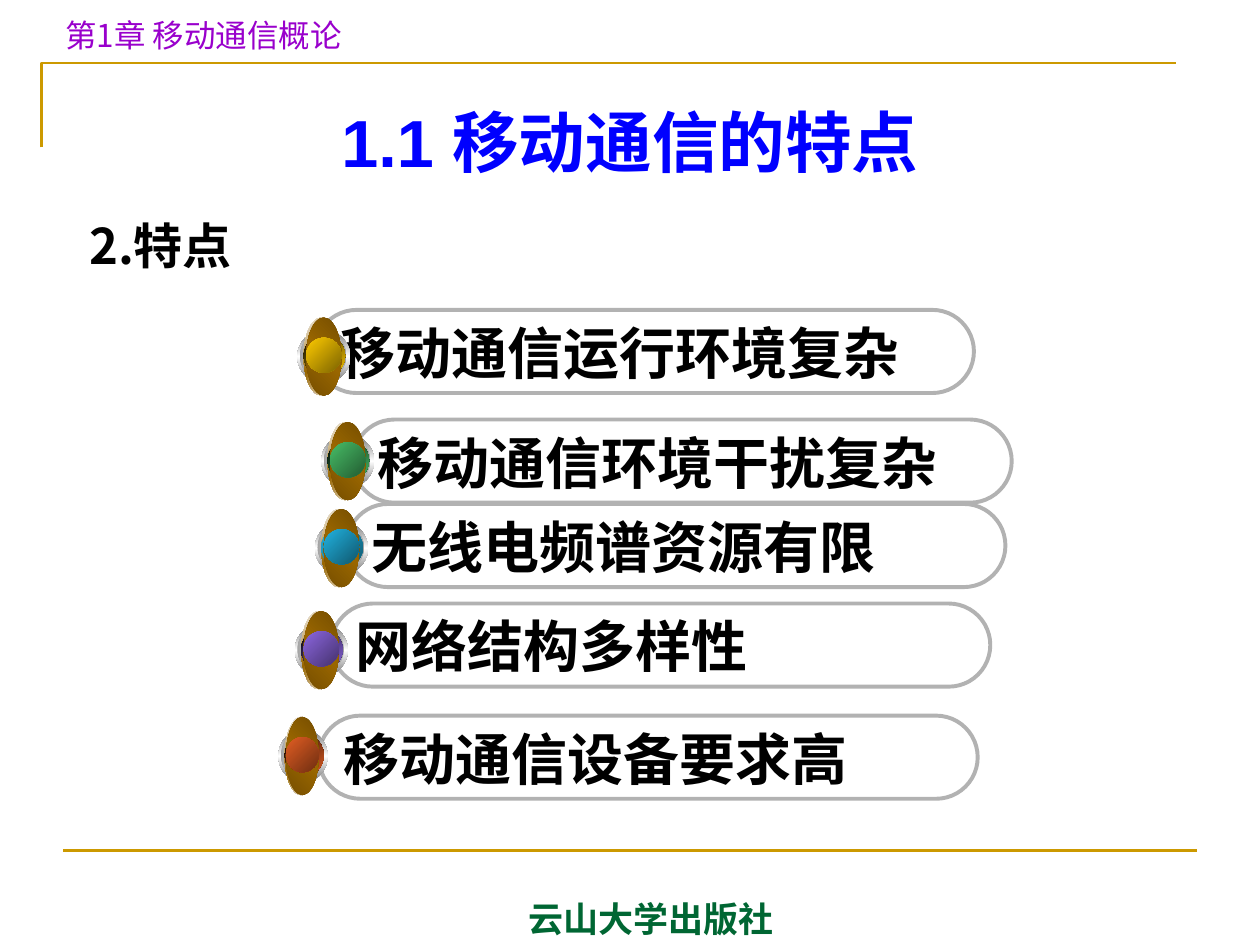
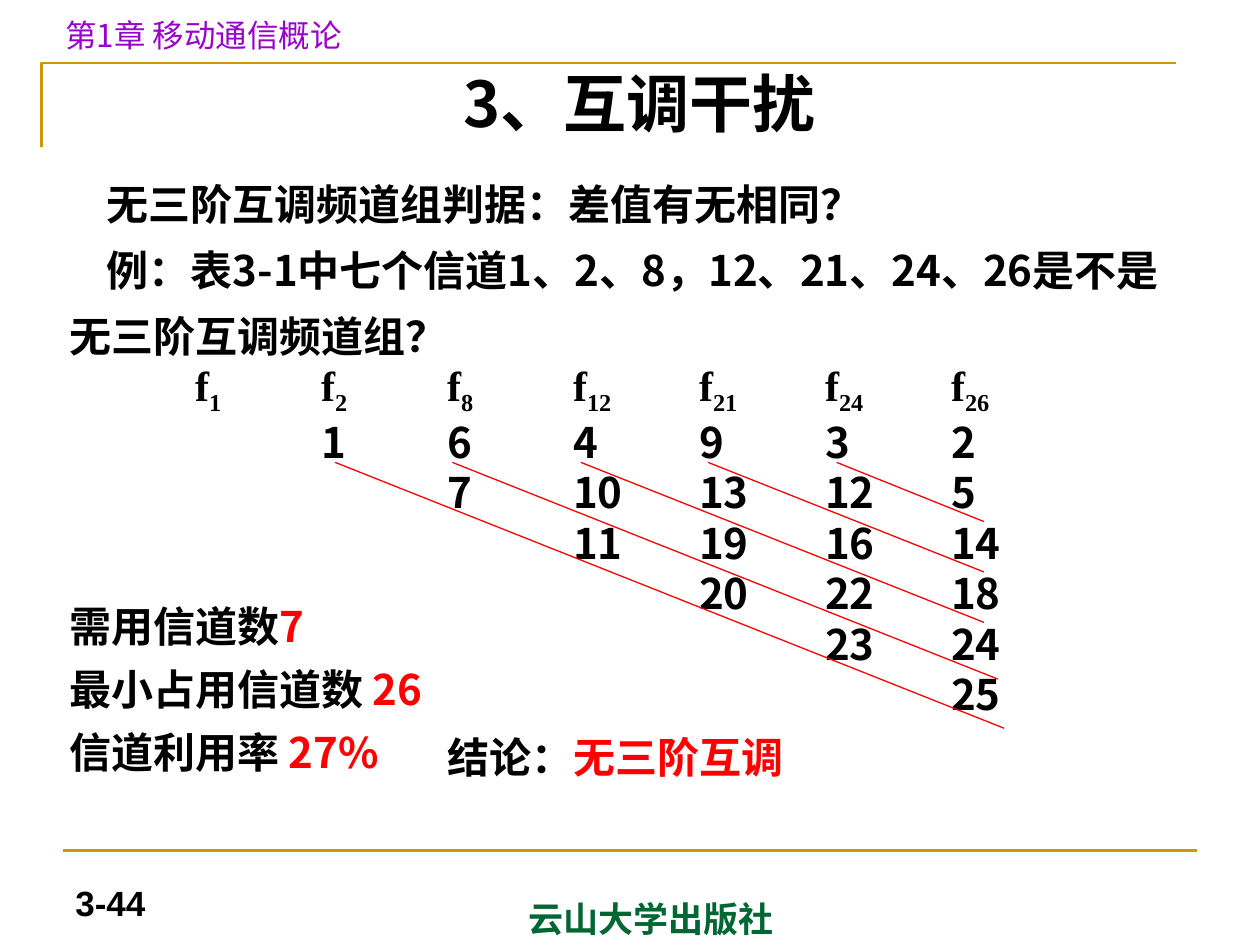
import pptx
import pptx.dml.color
import pptx.enum.shapes
import pptx.enum.text
import pptx.oxml
import pptx.oxml.ns
import pptx.util

RGB = pptx.dml.color.RGBColor
SHAPE = pptx.enum.shapes.MSO_SHAPE
ALIGN = pptx.enum.text.PP_ALIGN
ANCHOR = pptx.enum.text.MSO_ANCHOR
qn = pptx.oxml.ns.qn
NS = pptx.oxml.ns.nsdecls("a")

PX = 9144  # 100 px to the inch

# Colours
BLACK = RGB(0x00, 0x00, 0x00)
WHITE = RGB(0xFF, 0xFF, 0xFF)
GOLD = RGB(0xCC, 0x99, 0x00)
GREEN = RGB(0x00, 0x66, 0x33)
PURPLE = RGB(0x99, 0x00, 0xCC)
BLUE = RGB(0x00, 0x00, 0xFF)
RED = RGB(0xFF, 0x00, 0x00)
PILL_GREY = RGB(0xB2, 0xB2, 0xB2)
RIM_GREY = RGB(0x76, 0x76, 0x76)
RING_GREY = RGB(0xA2, 0xA2, 0xA2)
BROWN = RGB(0x99, 0x66, 0x00)
DARK_BROWN = RGB(0x75, 0x4E, 0x00)
YELLOW_BEAD = (RGB(0xFF, 0xCC, 0x00), RGB(0x7C, 0x63, 0x00))
GREEN_BEAD = (RGB(0x48, 0xBE, 0x67), RGB(0x23, 0x5C, 0x32))
BLUE_BEAD = (RGB(0x21, 0xB3, 0xE1), RGB(0x10, 0x57, 0x6D))
VIOLET_BEAD = (RGB(0x8D, 0x67, 0xE1), RGB(0x45, 0x32, 0x6D))
ORANGE_BEAD = (RGB(0xE3, 0x5E, 0x23), RGB(0x6E, 0x2E, 0x11))

# Fonts
CJK = "Noto Sans CJK SC"
CJK_CHAPTER = "Noto Sans CJK JP"
SANS = "Arial"
SERIF = "Times New Roman"

CHAPTER = "第1章 移动通信概论"
PUBLISHER = "云山大学出版社"

# Pill left and top, bead left, top and width, text, bead colours
FEATURES = [
    (250, 246, 236, 262, 42, "移动通信运行环境复杂", YELLOW_BEAD),
    (280, 333, 255, 345, 42, "移动通信环境干扰复杂", GREEN_BEAD),
    (275, 400, 250, 414, 42, "无线电频谱资源有限", BLUE_BEAD),
    (263, 479, 234, 495, 42, "网络结构多样性", VIOLET_BEAD),
    (253, 568, 221, 579, 39, "移动通信设备要求高", ORANGE_BEAD),
]

CHANNELS = [1, 2, 8, 12, 21, 24, 26]
COLUMN_STEP = 100
DIFFERENCES = [
    [1, 6, 4, 9, 3, 2],
    [7, 10, 13, 12, 5],
    [11, 19, 16, 14],
    [20, 22, 18],
    [23, 24],
    [25],
]
DIAGONAL_TOP = 367
DIAGONALS = [(266, 797, 578), (359, 792, 539), (461, 781, 494),
             (562, 781, 454), (664, 781, 414)]  # start x, end x, end y


def px(*lengths):
    return [pptx.util.Emu(n * PX) for n in lengths]


def add_run(p, text, size, color=BLACK, font=CJK, ea=CJK, bold=True, base=0):
    r = p.add_run()
    r.text = text
    r.font.size = pptx.util.Pt(size)
    r.font.bold = bold
    r.font.color.rgb = color
    r.font.name = font
    rPr = r.font._element
    rPr.find(qn("a:latin")).addnext(
        pptx.oxml.parse_xml(f'<a:ea {NS} typeface="{ea}"/>'))
    if base:
        rPr.set("baseline", str(base * 1000))


def add_line(tf, runs, leading, align=ALIGN.LEFT, indent=0):
    """Add one paragraph; runs are (text, style) pairs, leading is in points."""
    first = tf.paragraphs[0]
    p = tf.add_paragraph() if first.runs else first
    p.alignment = align
    p.line_spacing = pptx.util.Pt(leading)
    if indent:
        p._p.get_or_add_pPr().set("indent", str(indent * PX))
    for text, style in runs:
        add_run(p, text, **style)
    return p


def add_column_line(tf, runs, leading):
    """Add a paragraph with one tab stop for each channel column."""
    p = add_line(tf, runs, leading)
    stops = "".join(f'<a:tab pos="{(i + 1) * COLUMN_STEP * PX}" algn="l"/>'
                    for i in range(len(CHANNELS)))
    p._p.get_or_add_pPr().append(
        pptx.oxml.parse_xml(f"<a:tabLst {NS}>{stops}</a:tabLst>"))


def add_box(slide, box, anchor=ANCHOR.TOP):
    tf = slide.shapes.add_textbox(*px(*box)).text_frame
    tf.word_wrap = True
    tf.vertical_anchor = anchor
    return tf


def add_label(slide, box, text, size, anchor=ANCHOR.TOP, align=ALIGN.LEFT, **style):
    tf = add_box(slide, box, anchor)
    add_line(tf, [(text, dict(size=size, **style))], size * 1.2, align)


def add_rule(slide, x1, y1, x2, y2, color, width):
    line = slide.shapes.add_connector(
        pptx.enum.shapes.MSO_CONNECTOR.STRAIGHT, *px(x1, y1, x2, y2))
    line.line.color.rgb = color
    line.line.width = pptx.util.Pt(width)
    line._element.spPr.append(pptx.oxml.parse_xml(f"<a:effectLst {NS}/>"))


def add_frame(slide):
    """Corner line, chapter name, footer rule and publisher."""
    builder = slide.shapes.build_freeform(33, 117, scale=PX)
    builder.add_line_segments([(33, 50), (933, 50)], close=False)
    corner = builder.convert_to_shape()
    corner.shadow.inherit = False
    corner.fill.background()
    corner.line.color.rgb = GOLD
    corner.line.width = pptx.util.Pt(1.5)
    add_rule(slide, 50, 675, 950, 675, GOLD, 1.5)
    add_label(slide, (242, 707, 550, 43), PUBLISHER, 20,
              align=ALIGN.CENTER, color=GREEN, font=SANS)
    add_label(slide, (42, 8, 433, 40), CHAPTER, 18, color=PURPLE,
              font=CJK_CHAPTER, ea=CJK_CHAPTER, bold=False)


def set_gradient(sp, colors, angle):
    """Fill with evenly spaced colours; the angle runs clockwise."""
    sp.fill.gradient()
    grad = sp._element.spPr.find(qn("a:gradFill"))
    stops = grad.find(qn("a:gsLst"))
    for stop in list(stops):
        stops.remove(stop)
    for i, color in enumerate(colors):
        pos = 100000 * i // (len(colors) - 1)
        stops.append(pptx.oxml.parse_xml(
            f'<a:gs {NS} pos="{pos}"><a:srgbClr val="{color}"/></a:gs>'))
    grad.find(qn("a:lin")).set("ang", str(angle * 60000))


def add_bead(shapes, left, top, width, colors):
    """Stack of shaded ellipses, drawn for a width of 42 and squeezed to fit."""
    bright, dark = colors
    halo = (bright, dark) if colors is BLUE_BEAD else (BLACK, bright)
    layers = [
        (0, 0, 42, 42, (RIM_GREY, WHITE, RIM_GREY), 90),
        (2, 2, 37, 37, (RING_GREY, WHITE, RING_GREY), 0),
        (5, -10, 28, 62, (WHITE, BROWN, WHITE), 45),
        (5, 4, 33, 33, halo, 45),
        (7, -10, 28, 62, (DARK_BROWN, BROWN, DARK_BROWN), 315),
        (7, 6, 28, 28, (bright, dark), 45),
    ]
    for dx, dy, w, h, fill, angle in layers:
        sp = shapes.add_shape(SHAPE.OVAL, *px(
            left + round(dx * width / 42), top + dy, round(w * width / 42), h))
        sp.shadow.inherit = False
        sp.line.fill.background()
        set_gradient(sp, fill, angle)


def add_feature(slide, left, top, bead_left, bead_top, bead_width, text, colors):
    """Rounded pill with its bead."""
    shapes = slide.shapes.add_group_shape().shapes
    pill = shapes.add_shape(SHAPE.ROUNDED_RECTANGLE, *px(left, top, 523, 66))
    pill.adjustments[0] = 0.5
    pill.shadow.inherit = False
    pill.fill.background()
    pill.line.color.rgb = PILL_GREY
    pill.line.width = pptx.util.Pt(2.25)
    tf = pill.text_frame
    tf.word_wrap = True
    tf.vertical_anchor = ANCHOR.MIDDLE
    add_line(tf, [(text, dict(size=32, font=SANS))], 39)
    add_bead(shapes, bead_left, bead_top, bead_width, colors)


def build_features(slide):
    add_frame(slide)
    add_label(slide, (50, 70, 900, 83), "1.1 移动通信的特点", 38, ANCHOR.MIDDLE,
              ALIGN.CENTER, color=BLUE, font=SANS)
    add_label(slide, (61, 166, 900, 490), "2.特点", 28)
    for feature in FEATURES:
        add_feature(slide, *feature)


def add_difference_text(slide, box):
    """Question, triangle of channel differences on tab stops, conclusion."""
    plain = dict(size=24)
    tf = add_box(slide, box)
    for text in ("无三阶互调频道组判据：差值有无相同？",
                 "例：表3-1中七个信道1、2、8，12、21、24、26是不是无三阶互调频道组？"):
        add_line(tf, [(text, plain)], 37.5, indent=30)

    serif = dict(size=24, font=SERIF)
    heads = []
    for channel in CHANNELS:
        heads += [("\tf", serif), (str(channel), dict(serif, base=-25))]
    add_column_line(tf, heads, 32)

    for row, values in enumerate(DIFFERENCES):
        text = "\t" * (row + 2) + "\t".join(map(str, values))
        add_column_line(tf, [(text, plain)], 28.8)
    add_column_line(
        tf, [("\t\t\t结论：", plain), ("无三阶互调", dict(plain, color=RED))], 36)


def add_summary(slide, box):
    """Channel counts with the figures in red."""
    tf = add_box(slide, box)
    for label, value in (("需用信道数", "7"), ("最小占用信道数 ", "26"),
                         ("信道利用率 ", "27%")):
        add_line(tf, [(label, dict(size=24)), (value, dict(size=24, color=RED))], 36)


def build_intermodulation(slide):
    add_frame(slide)
    add_label(slide, (50, 695, 233, 40), "3-44", 20, font=SANS)
    add_difference_text(slide, (45, 125, 895, 504))
    add_summary(slide, (45, 462, 409, 162))
    add_label(slide, (102, 30, 811, 103), "3、互调干扰", 36, ANCHOR.MIDDLE, ALIGN.CENTER)
    for start_x, end_x, end_y in DIAGONALS:
        add_rule(slide, start_x, DIAGONAL_TOP, end_x, end_y, RED, 0.75)


def main():
    prs = pptx.Presentation()
    prs.slide_width, prs.slide_height = px(1000, 750)
    for build in (build_features, build_intermodulation):
        build(prs.slides.add_slide(prs.slide_layouts[6]))
    prs.save("out.pptx")


if __name__ == "__main__":
    main()
